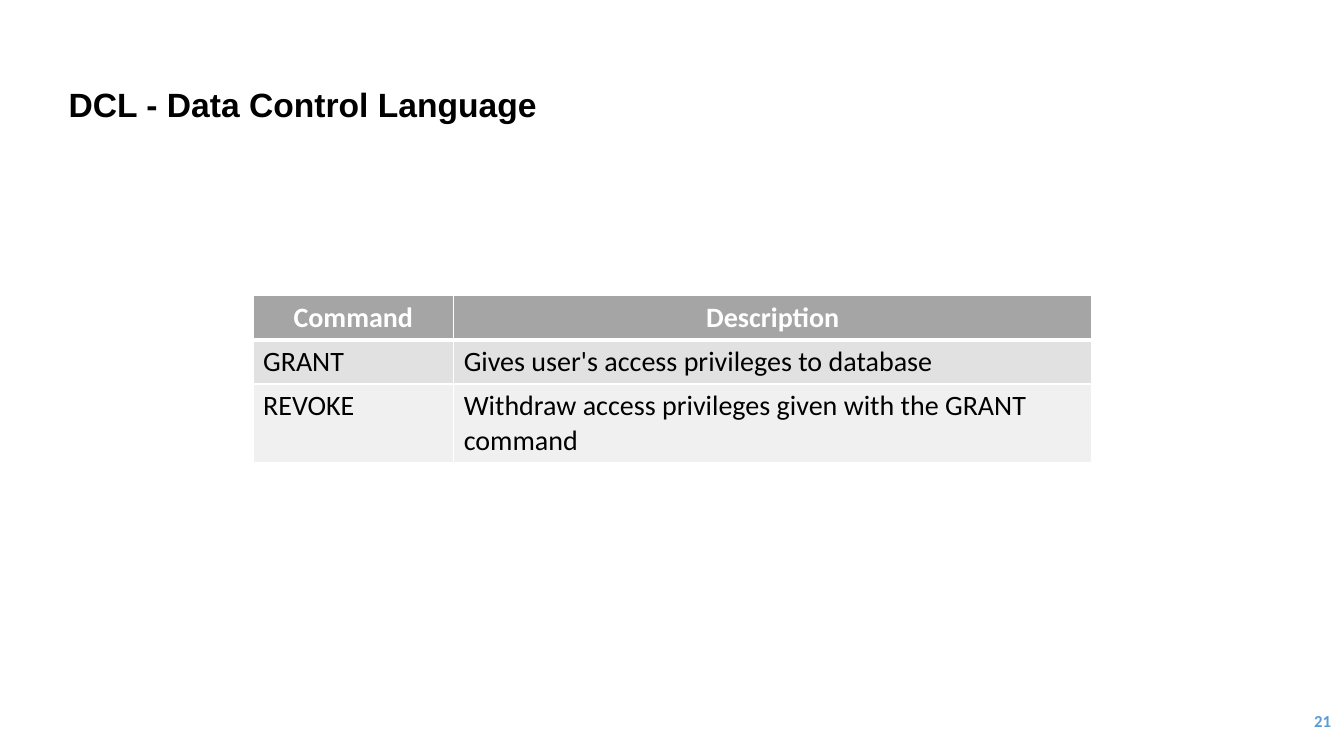
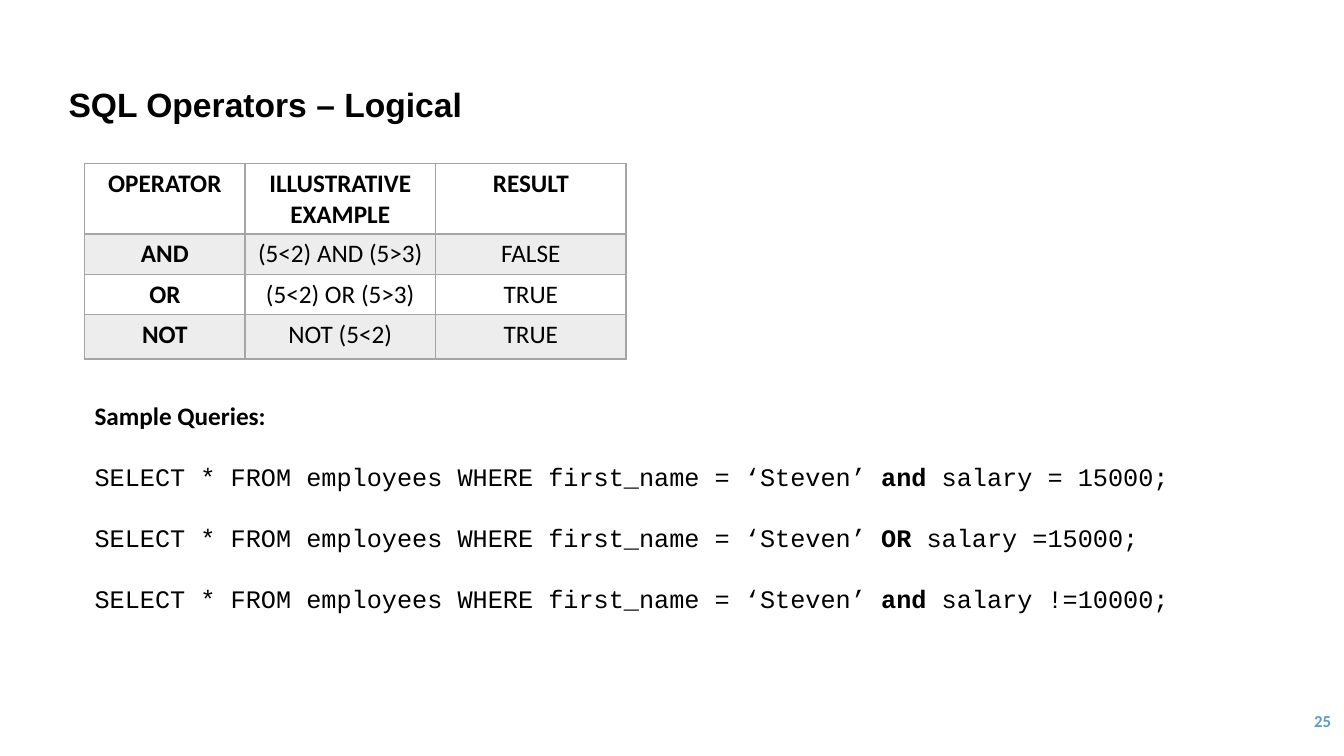
from dataclasses import dataclass
from typing import Any

import lxml.etree
import pptx
import pptx.dml.color
import pptx.enum.text
import pptx.oxml.ns
import pptx.util

Inches = pptx.util.Inches
Align = pptx.enum.text.PP_ALIGN
Anchor = pptx.enum.text.MSO_ANCHOR


@dataclass(frozen=True)
class Theme:
    black: str = "000000"
    white: str = "FFFFFF"
    blue: str = "5B9BD5"
    gray: str = "A5A5A5"
    mid: str = "E1E1E1"
    pale: str = "F0F0F0"
    band: str = "EDEDED"
    head: str = "Arial"
    body: str = "Calibri"
    code: str = "Courier New"
    title: int = 24
    large: int = 20
    text: int = 18
    small: int = 12


THEME = Theme()


@dataclass(frozen=True)
class Grid:
    """Content and look of one table; fills holds one colour per row."""
    left: float
    top: float
    cols: list[float]
    rows: list[float]
    cells: list[list[str]]
    fills: list[str | None]
    edge: str
    rule: float  # line width under the header
    size: int
    ink: str  # header text colour
    center: bool  # centre the body and embolden its first column


@dataclass(frozen=True)
class Query:
    start: str
    word: str
    end: str


# Text and lines
def put(para: Any, text: str, *, size: int = THEME.text, font: str = THEME.body,
        color: str = THEME.black, bold: bool = False, align: Any = Align.LEFT) -> None:
    para.alignment = align
    run = para.add_run()
    run.text = text
    run.font.size = pptx.util.Pt(size)
    run.font.name = font
    run.font.bold = bold
    run.font.color.rgb = pptx.dml.color.RGBColor.from_string(color)


def add_box(slide: Any, left: float, top: float, width: float, height: float) -> Any:
    box = slide.shapes.add_textbox(Inches(left), Inches(top), Inches(width), Inches(height))
    box.text_frame.word_wrap = True
    return box.text_frame


def add_edge(cell: Any, side: str, color: str, width: float) -> None:
    name = pptx.oxml.ns.qn
    line = lxml.etree.SubElement(cell._tc.get_or_add_tcPr(), name(f"a:ln{side}"),
                                 w=str(int(pptx.util.Pt(width))))
    fill = lxml.etree.SubElement(line, name("a:solidFill"))
    lxml.etree.SubElement(fill, name("a:srgbClr"), val=color)


# Shared title and page number
def add_slide(deck: Any, title: str, page: int) -> Any:
    slide = deck.slides.add_slide(deck.slide_layouts[5])
    head = slide.shapes.title
    head.left, head.top = Inches(0.58), Inches(0.86)
    head.width, head.height = Inches(10.44), Inches(0.4)
    head.text_frame.vertical_anchor = Anchor.MIDDLE
    para = head.text_frame.paragraphs[0]
    para.line_spacing = 0.9
    put(para, title, size=THEME.title, font=THEME.head, bold=True)
    foot = add_box(slide, 11.63, 6.95, 1.67, 0.4)
    foot.vertical_anchor = Anchor.MIDDLE
    put(foot.paragraphs[0], str(page), size=THEME.small, color=THEME.blue,
        bold=True, align=Align.RIGHT)
    return slide


# Tables
def add_grid(slide: Any, grid: Grid) -> None:
    table = slide.shapes.add_table(
        len(grid.rows), len(grid.cols), Inches(grid.left), Inches(grid.top),
        Inches(sum(grid.cols)), Inches(sum(grid.rows))).table
    table.horz_banding = False
    for col, width in zip(table.columns, grid.cols):
        col.width = Inches(width)
    for row, height in zip(table.rows, grid.rows):
        row.height = Inches(height)
    for r, (words, fill) in enumerate(zip(grid.cells, grid.fills)):
        for c, text in enumerate(words):
            cell = table.cell(r, c)
            put(cell.text_frame.paragraphs[0], text, size=grid.size,
                color=grid.ink if r == 0 else THEME.black,
                bold=r == 0 or (grid.center and c == 0),
                align=Align.CENTER if r == 0 or grid.center else Align.LEFT)
            for side in "LRTB":
                thick = (r, side) in ((0, "B"), (1, "T"))
                add_edge(cell, side, grid.edge, grid.rule if thick else 1)
            if fill:
                cell.fill.solid()
                cell.fill.fore_color.rgb = pptx.dml.color.RGBColor.from_string(fill)
            else:
                cell.fill.background()


# Sample queries
def add_code(slide: Any, title: str, items: list[Query]) -> None:
    frame = add_box(slide, 0.84, 3.92, 12.47, 2.52)
    frame.auto_size = pptx.enum.text.MSO_AUTO_SIZE.SHAPE_TO_FIT_TEXT
    put(frame.paragraphs[0], title, bold=True)
    for item in items:
        para = frame.add_paragraph()
        para.space_before = pptx.util.Pt(22)
        put(para, item.start, font=THEME.code)
        put(para, item.word, font=THEME.code, bold=True)
        put(para, item.end, font=THEME.code)


GRANTS = Grid(
    2.51, 2.93, [1.99, 6.33], [0.44, 0.44, 0.78],
    [["Command", "Description"],
     ["GRANT", "Gives user's access privileges to database"],
     ["REVOKE", "Withdraw access privileges given with the GRANT command"]],
    [THEME.gray, THEME.mid, THEME.pale],
    edge=THEME.white, rule=3, size=THEME.large, ink=THEME.white, center=False)

LOGIC = Grid(
    0.84, 1.62, [1.59, 1.89, 1.89], [0.7, 0.4, 0.4, 0.44],
    [["OPERATOR", "ILLUSTRATIVE EXAMPLE", "RESULT"],
     ["AND", "(5<2) AND (5>3)", "FALSE"],
     ["OR", "(5<2) OR (5>3)", "TRUE"],
     ["NOT", "NOT (5<2)", "TRUE"]],
    [None, THEME.band, None, THEME.band],
    edge=THEME.gray, rule=2, size=THEME.text, ink=THEME.black, center=True)

START = "SELECT * FROM employees WHERE first_name = ‘Steven’ "
QUERIES = [Query(START, "and ", "salary = 15000;"),
           Query(START, "OR ", "salary =15000;"),
           Query(START, "and ", "salary !=10000;")]


def main() -> None:
    deck = pptx.Presentation()
    deck.slide_width, deck.slide_height = Inches(13.33), Inches(7.5)
    add_grid(add_slide(deck, "DCL - Data Control Language", 21), GRANTS)
    slide = add_slide(deck, "SQL Operators – Logical", 25)
    add_code(slide, "Sample Queries:", QUERIES)
    add_grid(slide, LOGIC)
    deck.save("out.pptx")


if __name__ == "__main__":
    main()
